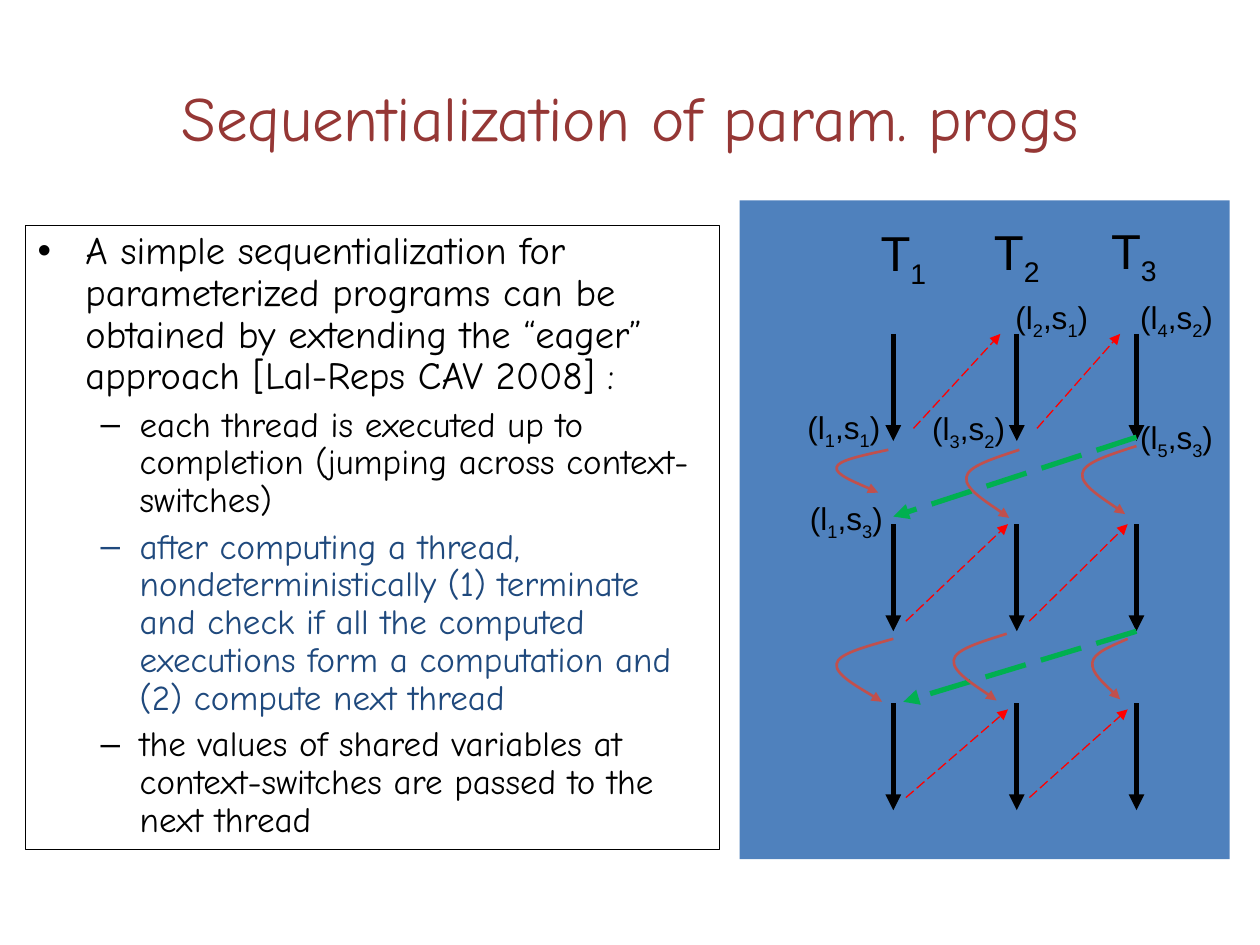
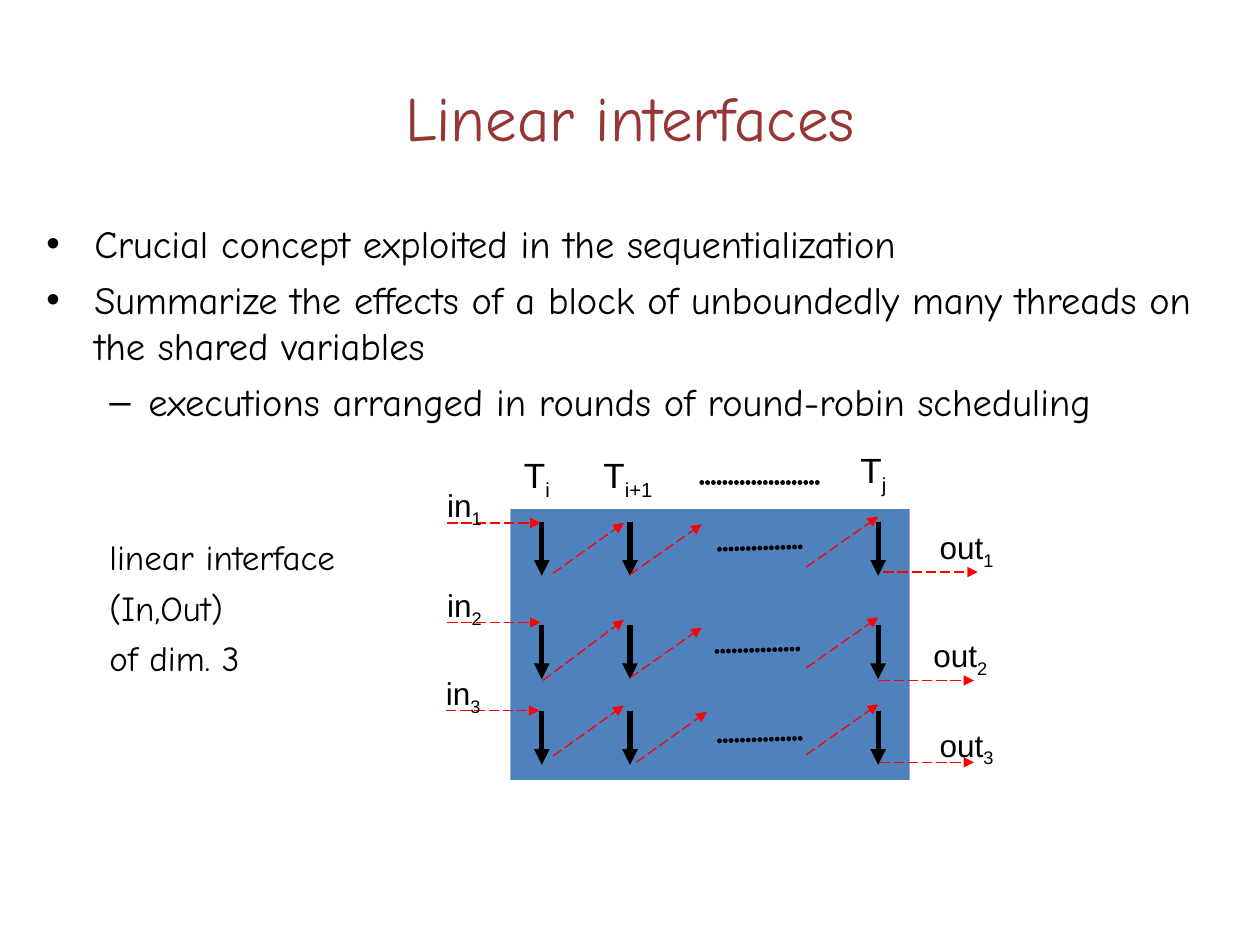
from lxml.etree import SubElement
from pptx import Presentation
from pptx.dml.color import RGBColor
from pptx.enum.dml import MSO_LINE
from pptx.enum.shapes import MSO_CONNECTOR, MSO_SHAPE
from pptx.enum.text import MSO_ANCHOR, PP_ALIGN
from pptx.oxml.ns import qn
from pptx.util import Emu, Inches, Pt

COLORS = {"title": "953735", "text": "000000", "accent": "1F497D", "panel": "4F81BD",
          "switch": "FF0000", "next_thread": "00B050", "jump": "C0504D"}
BODY_FONT, LABEL_FONT = "Comic Neue", "Arial"
# level: (bullet, left margin, hanging indent)
BULLETS = {0: ("•", 0.38, 0.38), 1: ("–", 0.81, 0.31)}

# Slide 1. Each point: level, size, space before, colour, text
SEQ_TITLE = "Sequentialization of param. progs"
SEQ_POINTS = [
    (0, 22, 0, "text", "A simple sequentialization for parameterized programs can be obtained "
     "by extending the “eager” approach [Lal-Reps CAV 2008] :"),
    (1, 20, 5, "text", "each thread is executed up to completion "
     "(jumping across context-switches)"),
    (1, 20, 5, "accent", "after computing a thread, nondeterministically (1) terminate and check "
     "if all the computed executions form a computation and (2) compute next thread"),
    (1, 20, 5, "text", "the values of shared variables at context-switches are passed "
     "to the next thread"),
]
# In labels, every second piece between bars is a subscript
THREAD_NAMES = [("T|1", 6.89, 1.72), ("T|2", 7.79, 1.71), ("T|3", 8.72, 1.7)]
STATES = [("(l|1|,s|1|)", 6.31, 3.19), ("(l|1|,s|3|)", 6.33, 3.91), ("(l|2|,s|1|)", 7.96, 2.32),
          ("(l|3|,s|2|)", 7.3, 3.2), ("(l|4|,s|2|)", 8.95, 2.32), ("(l|5|,s|3|)", 8.95, 3.27)]
THREAD_X = [7.09, 8.07, 9.02]
STEP = 0.85
# top, then the switch: gap after its thread, gap before the next, start y, end y
SEQ_ROUNDS = [(2.65, 0.16, 0.13, 3.4, 2.65), (4.16, 0.1, 0.07, 4.93, 4.16),
              (5.58, 0.1, 0.07, 6.33, 5.63)]
NEXT_THREAD = [((9.02, 3.47), (7.09, 4.1)), ((9.02, 5.01), (7.17, 5.57))]
# start, outermost point, end
JUMPS = [
    ((7.05, 3.57), (6.64, 3.71), (6.97, 3.91)), ((7.09, 5.07), (6.64, 5.27), (7, 5.57)),
    ((8.09, 3.57), (7.67, 3.79), (8.01, 4.11)), ((7.99, 5.03), (7.57, 5.24), (7.91, 5.56)),
    ((9.02, 3.54), (8.59, 3.76), (8.93, 4.08)), ((8.95, 5.07), (8.67, 5.26), (8.89, 5.55)),
]

# Slide 2
LINEAR_TITLE = "Linear interfaces"
LINEAR_POINTS = [
    (0, 22, 0, "text", "Crucial concept exploited in the sequentialization"),
    (0, 22, 5.5, "text", "Summarize the effects of a block of unboundedly many threads "
     "on the shared variables"),
    (1, 22, 5.5, "text", "executions arranged in rounds of round-robin scheduling"),
]
INTERFACE_NOTE = ["linear interface", "(In,Out)", "of dim. 3"]
BLOCK_NAMES = [("T|i", 4.06, 3.55), ("T|i+1", 4.69, 3.55), ("T|j", 6.73, 3.51)]
BLOCK_X = [4.3, 5, 6.97]
BLOCK_STEP = 0.43
ARROW_IN, ARROW_OUT = 0.74, 0.75
LINEAR_ROUNDS = [
    {"top": 4.14, "in": (3.55, 4.15), "out": (7.01, 4.54), "out_label": (7.36, 4.14),
     "dots": (5.71, 4.36),
     "hops": [((4.39, 4.55), (4.95, 4.15)), ((5, 4.56), (5.57, 4.16)), ((6.4, 4.5), (6.97, 4.1))]},
    {"top": 4.96, "in": (3.55, 4.94), "out": (6.98, 5.4), "out_label": (7.31, 5),
     "dots": (5.69, 5.17),
     "hops": [((4.31, 5.4), (4.95, 4.92)), ((5, 5.38), (5.57, 4.98)), ((6.4, 5.3), (6.97, 4.9))]},
    {"top": 5.64, "in": (3.54, 5.64), "out": (6.98, 6.05), "out_label": (7.36, 5.71),
     "dots": (5.71, 5.88),
     "hops": [((4.39, 6), (4.95, 5.6)), ((5.05, 6.05), (5.61, 5.65)), ((6.4, 5.99), (6.97, 5.59))]},
]


def color(name):
    return RGBColor.from_string(COLORS[name])


def style_font(paragraph, face, size, color_name="text"):
    paragraph.font.name = face
    paragraph.font.size = Pt(size)
    paragraph.font.color.rgb = color(color_name)


def add_box(slide, left, top, width, height):
    box = slide.shapes.add_textbox(Inches(left), Inches(top), Inches(width), Inches(height))
    box.text_frame.word_wrap = True
    return box


def add_title(slide, title):
    frame = add_box(slide, 0.5, 0.3, 9, 1.25).text_frame
    frame.vertical_anchor = MSO_ANCHOR.MIDDLE
    heading = frame.paragraphs[0]
    heading.text = title
    heading.alignment = PP_ALIGN.CENTER
    style_font(heading, BODY_FONT, 36, "title")


def next_paragraph(frame, index):
    return frame.paragraphs[0] if index == 0 else frame.add_paragraph()


def write_points(frame, points, line_spacing):
    for index, (level, size, before, color_name, text) in enumerate(points):
        point = next_paragraph(frame, index)
        point.text = text
        point.level = level
        point.line_spacing = line_spacing
        point.space_before = Pt(before)
        mark, margin, hanging = BULLETS[level]
        properties = point._p.get_or_add_pPr()
        properties.set("marL", str(Inches(margin)))
        properties.set("indent", str(-Inches(hanging)))
        SubElement(properties, qn("a:buFont"), typeface=LABEL_FONT)
        SubElement(properties, qn("a:buChar"), char=mark)
        style_font(point, BODY_FONT, size, color_name)


def add_label(slide, text, left, top, width, size):
    frame = add_box(slide, left, top, width, 0.44).text_frame
    frame.margin_right = 0
    label = frame.paragraphs[0]
    style_font(label, LABEL_FONT, size)
    for index, piece in enumerate(text.split("|")):
        run = label.add_run()
        run.text = piece
        if index % 2:
            run.font._element.set("baseline", "-25000")


def add_panel(slide, left, top, width, height):
    panel = slide.shapes.add_shape(MSO_SHAPE.RECTANGLE, Inches(left), Inches(top),
                                   Inches(width), Inches(height))
    panel.shadow.inherit = False
    panel.fill.solid()
    panel.fill.fore_color.rgb = color("panel")
    panel.line.fill.background()


def style_line(line, color_name, width, dash=None):
    line.color.rgb = color(color_name)
    line.width = Pt(width)
    if dash:
        line.dash_style = dash


def add_head(line):
    SubElement(line._get_or_add_ln(), qn("a:tailEnd"), type="triangle")


def add_line(slide, start, end, color_name, width, dash=None):
    connector = slide.shapes.add_connector(MSO_CONNECTOR.STRAIGHT, *map(Inches, start + end))
    style_line(connector.line, color_name, width, dash)
    SubElement(connector._element.spPr, qn("a:effectLst"))
    return connector.line


def add_switch(slide, start, end):
    add_head(add_line(slide, start, end, "switch", 0.75, MSO_LINE.LONG_DASH))


def add_step(slide, x, top, length):
    add_head(add_line(slide, (x, top), (x, top + length), "text", 3))


def add_dots(slide, start, end):
    """Draw a row of closely set round dots."""
    outline = add_line(slide, start, end, "text", 2.75)._get_or_add_ln()
    outline.set("cap", "rnd")
    dash = SubElement(outline, qn("a:custDash"))
    SubElement(dash, qn("a:ds"), d="100000", sp="20000")


def add_jump(slide, start, bend, end):
    """Draw two Bézier arcs that meet at the bend, with an arrowhead at the end."""
    def between(a, b, across, down):
        return a[0] + across * (b[0] - a[0]), a[1] + down * (b[1] - a[1])

    points = [between(start, bend, 0.5, 0.32), between(start, bend, 0.98, 0.6), bend,
              between(bend, end, -0.05, 0.28), between(bend, end, 0.82, 0.85), end]
    builder = slide.shapes.build_freeform(*map(Inches, start))
    builder.add_line_segments([(Inches(x), Inches(y)) for x, y in points], close=False)
    jump = builder.convert_to_shape()
    jump.shadow.inherit = False
    jump.fill.background()
    style_line(jump.line, "jump", 1.5)
    add_head(jump.line)
    outline = jump._element.find(".//" + qn("a:path"))
    segments = outline.findall(qn("a:lnTo"))
    for first in (0, 3):
        arc = SubElement(outline, qn("a:cubicBezTo"))
        for segment in segments[first:first + 3]:
            arc.append(segment[0])
            outline.remove(segment)


def build_sequentialization(slide):
    add_title(slide, SEQ_TITLE)
    points_box = add_box(slide, 0.2, 1.79, 5.51, 4.95)
    style_line(points_box.line, "text", 0.75)
    write_points(points_box.text_frame, SEQ_POINTS, 0.9)
    add_panel(slide, 5.87, 1.59, 3.89, 5.23)
    for text, left, top in THREAD_NAMES:
        add_label(slide, text, left, top, 0.56, 28)
    for text, left, top in STATES:
        add_label(slide, text, left, top, 0.78, 18)
    for top, after, before, start_y, end_y in SEQ_ROUNDS:
        for x in THREAD_X:
            add_step(slide, x, top, STEP)
        for x, next_x in zip(THREAD_X, THREAD_X[1:]):
            add_switch(slide, (x + after, start_y), (next_x - before, end_y))
    for start, end in NEXT_THREAD:
        add_head(add_line(slide, start, end, "next_thread", 3, MSO_LINE.LONG_DASH))
    for jump in JUMPS:
        add_jump(slide, *jump)


def build_linear_interfaces(slide):
    add_title(slide, LINEAR_TITLE)
    write_points(add_box(slide, 0.27, 1.7, 9.29, 2).text_frame, LINEAR_POINTS, 1.0)
    note = add_box(slide, 0.77, 4.2, 2.5, 1.3).text_frame
    for index, text in enumerate(INTERFACE_NOTE):
        paragraph = next_paragraph(note, index)
        paragraph.text = text
        paragraph.space_before = Pt(5 if index else 0)
        style_font(paragraph, BODY_FONT, 20)
    add_panel(slide, 4.05, 4.04, 3.17, 2.15)
    for text, left, top in BLOCK_NAMES:
        add_label(slide, text, left, top, 0.71, 20)
    add_dots(slide, (5.57, 3.83), (6.51, 3.83))
    for number, part in enumerate(LINEAR_ROUNDS, 1):
        for x in BLOCK_X:
            add_step(slide, x, part["top"], BLOCK_STEP)
        for start, end in part["hops"]:
            add_switch(slide, start, end)
        for (x, y), length in ((part["in"], ARROW_IN), (part["out"], ARROW_OUT)):
            add_switch(slide, (x, y), (x + length, y))
        dots_x, dots_y = part["dots"]
        add_dots(slide, (dots_x, dots_y), (dots_x + 0.65, dots_y - 0.02))
        in_x, in_y = part["in"]
        add_label(slide, f"in|{number}", in_x - 0.1, in_y - 0.34, 0.6, 18)
        add_label(slide, f"out|{number}", *part["out_label"], 0.76, 18)


def main():
    deck = Presentation()
    deck.slide_width, deck.slide_height = Inches(10), Inches(7.5)
    for build in (build_sequentialization, build_linear_interfaces):
        build(deck.slides.add_slide(deck.slide_layouts[6]))
    deck.save("out.pptx")


if __name__ == "__main__":
    main()
